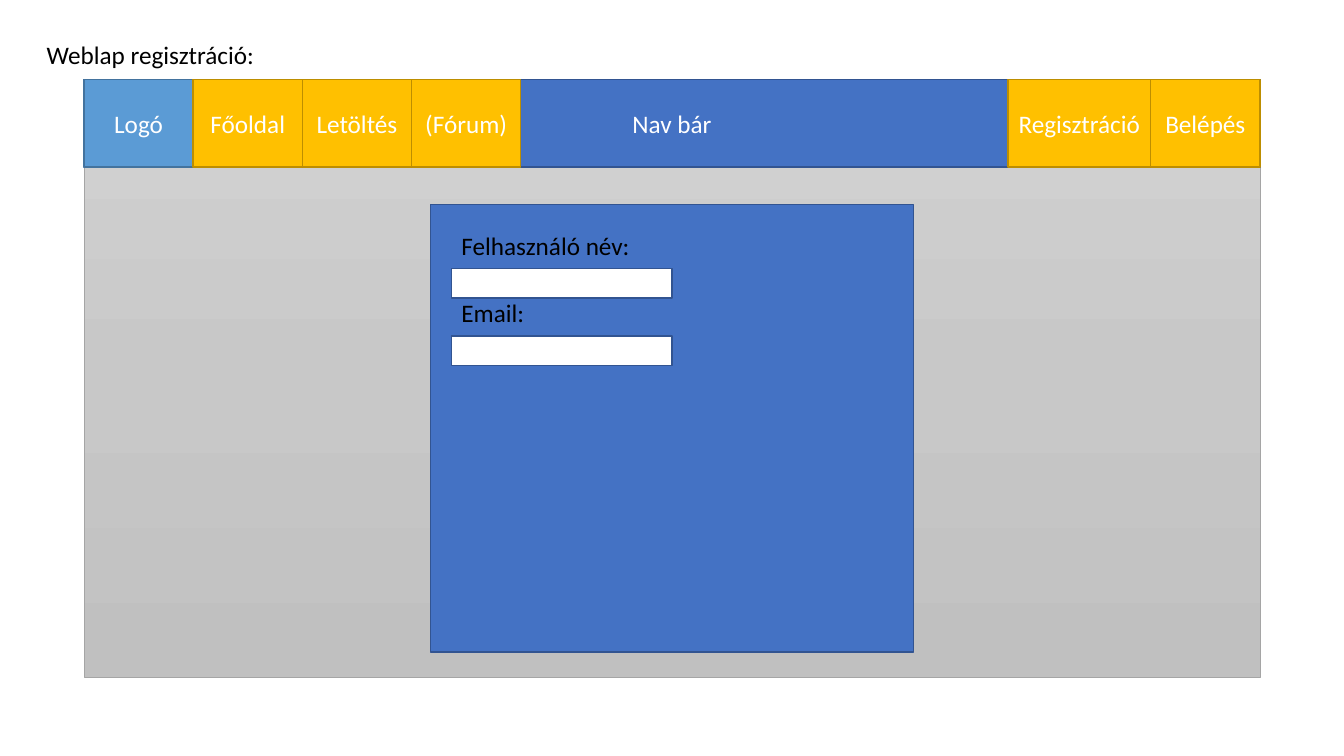
from copy import deepcopy

from pptx import Presentation
from pptx.dml.color import RGBColor
from pptx.enum.shapes import MSO_SHAPE as Shape
from pptx.enum.text import MSO_ANCHOR as Anchor, MSO_AUTO_SIZE as AutoSize, PP_ALIGN as Align
from pptx.oxml.ns import qn
from pptx.util import Pt

PX = 9525  # EMU in one px, 96 px to the inch

BLACK = RGBColor(0x00, 0x00, 0x00)
WHITE = RGBColor(0xFF, 0xFF, 0xFF)
BLUE = RGBColor(0x44, 0x72, 0xC4)
DARK_BLUE = RGBColor(0x32, 0x54, 0x91)
SKY = RGBColor(0x5B, 0x9B, 0xD5)
DARK_SKY = RGBColor(0x43, 0x73, 0x9E)
GOLD = RGBColor(0xFF, 0xC0, 0x00)
DARK_GOLD = RGBColor(0xBD, 0x8E, 0x00)
GRAY = RGBColor(0xA5, 0xA5, 0xA5)
PAGE_GRAYS = [RGBColor(0xD2, 0xD2, 0xD2), RGBColor(0xC8, 0xC8, 0xC8), RGBColor(0xC0, 0xC0, 0xC0)]

# Content
TITLE = "Weblap regisztráció:"
NAV_TITLE = "Nav bár"
LEFT_TABS = [
    ("Logó", SKY, DARK_SKY),
    ("Főoldal", GOLD, DARK_GOLD),
    ("Letöltés", GOLD, DARK_GOLD),
    ("(Fórum)", GOLD, DARK_GOLD),
]
RIGHT_TABS = [("Regisztráció", 136), ("Belépés", 104)]
FIELDS = ["Felhasználó név:", "Email:"]

# Layout in px
SITE_LEFT, SITE_TOP, SITE_WIDTH, SITE_HEIGHT = 80, 76, 1120, 569
NAV_HEIGHT, TAB_WIDTH = 83, 104
FORM = (410, 195, 460, 426)
FIELD_LEFT, FIELD_TOP, FIELD_WIDTH, FIELD_HEIGHT = 430, 220, 210, 28
INPUT_OFFSET, FIELD_STEP = 36, 64


def write(box, text, color=WHITE, align=Align.CENTER, anchor=Anchor.MIDDLE, wrap=True):
    frame = box.text_frame
    frame.word_wrap = wrap
    frame.vertical_anchor = anchor
    para = frame.paragraphs[0]
    para.alignment = align
    span = para.add_run()
    span.text = text
    span.font.name = "Calibri"
    span.font.size = Pt(18)
    span.font.color.rgb = color


def add_box(slide, area, fill=None, line=DARK_BLUE, weight=1, text=None):
    box = slide.shapes.add_shape(Shape.RECTANGLE, *(n * PX for n in area))
    box.shadow.inherit = False
    if fill is not None:
        box.fill.solid()
        box.fill.fore_color.rgb = fill
    box.line.color.rgb = line
    box.line.width = Pt(weight)
    if text:
        write(box, text)
    return box


def add_label(slide, area, text, **style):
    label = slide.shapes.add_textbox(*(n * PX for n in area))
    write(label, text, color=BLACK, align=Align.LEFT, **style)
    return label


def shade(box, colors):
    box.fill.gradient()
    box.fill.gradient_angle = 270
    stop_list = box._element.spPr.find(qn("a:gradFill")).find(qn("a:gsLst"))
    stop_list.append(deepcopy(stop_list[0]))
    for i, (stop, color) in enumerate(zip(box.fill.gradient_stops, colors)):
        stop.position = i / (len(colors) - 1)
        stop.color.rgb = color


def main():
    deck = Presentation()
    deck.slide_width, deck.slide_height = 1280 * PX, 720 * PX
    page = deck.slides.add_slide(deck.slide_layouts[6])

    # Web page area and title
    site = add_box(page, (SITE_LEFT, SITE_TOP, SITE_WIDTH, SITE_HEIGHT), line=GRAY, weight=0.5)
    shade(site, PAGE_GRAYS)
    title = add_label(page, (35, 33, 219, 38), TITLE, anchor=Anchor.TOP, wrap=False)
    title.text_frame.auto_size = AutoSize.SHAPE_TO_FIT_TEXT

    # Navigation bar: tabs run in from both ends
    add_box(page, (SITE_LEFT, SITE_TOP, SITE_WIDTH, NAV_HEIGHT), BLUE, text=NAV_TITLE)
    for i, (text, fill, line) in enumerate(LEFT_TABS):
        left = SITE_LEFT + i * TAB_WIDTH
        add_box(page, (left, SITE_TOP, TAB_WIDTH, NAV_HEIGHT), fill, line, text=text)
    right = SITE_LEFT + SITE_WIDTH
    for text, width in reversed(RIGHT_TABS):
        right -= width
        add_box(page, (right, SITE_TOP, width, NAV_HEIGHT), GOLD, DARK_GOLD, text=text)

    # Registration form
    add_box(page, FORM, BLUE)
    for i, text in enumerate(FIELDS):
        top = FIELD_TOP + i * FIELD_STEP
        add_box(page, (FIELD_LEFT, top + INPUT_OFFSET, FIELD_WIDTH, FIELD_HEIGHT), WHITE)
        add_label(page, (FIELD_LEFT, top, FIELD_WIDTH, FIELD_HEIGHT), text)

    deck.save("out.pptx")


if __name__ == "__main__":
    main()
